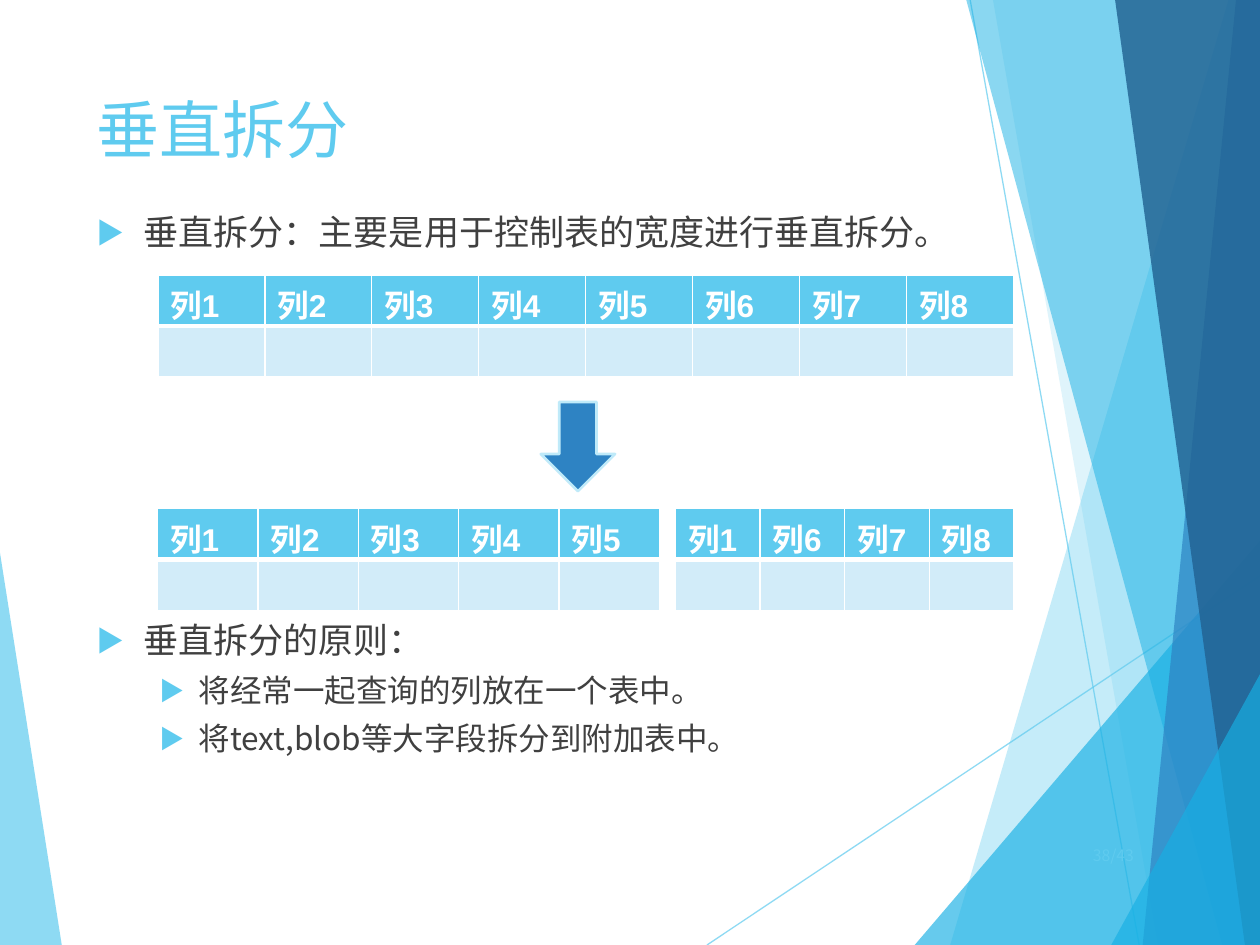
import pptx
import pptx.dml.color
import pptx.enum.dml
import pptx.enum.shapes
import pptx.enum.text
import pptx.oxml
import pptx.oxml.ns
import pptx.util

Pt = pptx.util.Pt
qn = pptx.oxml.ns.qn
NS = 'xmlns:a="http://schemas.openxmlformats.org/drawingml/2006/main"'
WIDE, HIGH = 720, 540
SKY, CYAN, BLUE, NAVY = "5FCBEF", "17B0E4", "2E83C3", "226292"
PALE, RIM, WHITE, GREY = "D2ECF9", "BFEAF9", "FFFFFF", "404040"
CJK = "Noto Sans CJK SC"


def rgb(code):
    return pptx.dml.color.RGBColor.from_string(code)


def add_xml(parent, text):
    node = pptx.oxml.parse_xml(text)
    parent.append(node)
    return node


def paint(fill, code, alpha=None):
    """Fill with one colour, at an opacity in percent if given."""
    fill.solid()
    fill.fore_color.rgb = rgb(code)
    if alpha:
        tone = fill._xPr.find(qn("a:solidFill"))[0]
        add_xml(tone, f'<a:alpha {NS} val="{alpha * 1000}"/>')


def add_facet(slide, points, code, alpha):
    start, *rest = [(Pt(x), Pt(y)) for x, y in points]
    pen = slide.shapes.build_freeform(*start)
    pen.add_line_segments(rest, close=True)
    shape = pen.convert_to_shape()
    shape.shadow.inherit = False
    paint(shape.fill, code, alpha)
    shape.line.fill.background()


def add_slab(slide, top, foot, code, alpha):
    """Facet from a slanted left edge to the right side of the slide."""
    edge = [(top, 0), (foot, HIGH), (WIDE, HIGH), (WIDE, 0)]
    add_facet(slide, edge, code, alpha)


def add_corner(slide, left, top, code, alpha):
    """Triangle in the lower right corner."""
    edge = [(left, HIGH), (WIDE, top), (WIDE, HIGH)]
    add_facet(slide, edge, code, alpha)


def add_ray(slide, *ends):
    kind = pptx.enum.shapes.MSO_CONNECTOR.STRAIGHT
    ray = slide.shapes.add_connector(kind, *map(Pt, ends))
    ray.line.width = Pt(0.75)
    paint(ray.line.fill, SKY, 70)
    add_xml(ray._element.spPr, f"<a:effectLst {NS}/>")


def add_run(para, text, code, name=CJK, **form):
    run = para.add_run()
    run.text = text
    run.font.color.rgb = rgb(code)
    for key, value in {"name": name, **form}.items():
        setattr(run.font, key, value)
    add_xml(run._r.get_or_add_rPr(), f'<a:ea {NS} typeface="{CJK}"/>')


def add_box(slide, *area):
    frame = slide.shapes.add_textbox(*map(Pt, area)).text_frame
    frame.word_wrap = True
    return frame


def add_bullet(para, left, hang):
    props = para._p.get_or_add_pPr()
    props.set("marL", str(Pt(left)))
    props.set("indent", str(-Pt(hang)))
    for mark in (f'<a:buClr {NS}><a:srgbClr val="{SKY}"/></a:buClr>',
                 f'<a:buSzPct {NS} val="80000"/>',
                 f'<a:buFont {NS} typeface="{CJK}"/>',
                 f'<a:buChar {NS} char="▶"/>'):
        add_xml(props, mark)


def add_body(slide):
    frame = add_box(slide, 48, 116.6, 607, 347)
    rows = [("垂直拆分：主要是用于控制表的宽度进行垂直拆分。", 0, 20, 27, 27),
            ("垂直拆分的原则：", 209, 20, 27, 27),
            ("将经常一起查询的列放在一个表中。", 6, 18, 58.5, 22.5),
            ("将text,blob等大字段拆分到附加表中。", 6, 18, 58.5, 22.5)]
    for at, (text, gap, size, left, hang) in enumerate(rows):
        para = frame.add_paragraph() if at else frame.paragraphs[0]
        para.space_before = Pt(gap)
        add_bullet(para, left, hang)
        add_run(para, text, GREY, size=Pt(size))


def style_cell(cell, code, top, foot):
    props = cell._tc.get_or_add_tcPr()
    for side, width in zip("LRTB", (1, 1, top, foot)):
        add_xml(props, f'<a:ln{side} {NS} w="{Pt(width)}"><a:solidFill>'
                       f'<a:srgbClr val="{WHITE}"/></a:solidFill></a:ln{side}>')
    paint(cell.fill, code)


def add_grid(slide, left, top, width, cols):
    """Table with a numbered header and one empty row."""
    area = map(Pt, (left, top, width, 58.4))
    grid = slide.shapes.add_table(2, len(cols), *area).table
    for at, col in enumerate(cols):
        grid.columns[at].width = Pt(width / len(cols))
        head, blank = grid.cell(0, at), grid.cell(1, at)
        style_cell(head, SKY, 1, 3)
        style_cell(blank, PALE, 3, 1)
        add_run(head.text_frame.paragraphs[0], f"列{col}", WHITE, "Arial",
                size=Pt(18), bold=True)


def add_arrow(slide):
    kind = pptx.enum.shapes.MSO_SHAPE.DOWN_ARROW
    arrow = slide.shapes.add_shape(kind, *map(Pt, (309, 229.7, 42.5, 51)))
    arrow.shadow.inherit = False
    paint(arrow.fill, BLUE)
    paint(arrow.line.fill, RIM)
    arrow.line.width = Pt(1.5)


def add_decor(slide):
    add_facet(slide, [(0, 316), (35.3, HIGH), (0, HIGH)], SKY, 70)
    add_ray(slide, 404, HIGH, WIDE, 329)
    add_ray(slide, 554.4, 0, 651, HIGH)
    add_slab(slide, 702, 543, SKY, 36)
    add_slab(slide, 567.4, 661.7, SKY, 20)
    add_corner(slide, 522.7, 309, CYAN, 66)
    add_slab(slide, 552.2, 698.4, CYAN, 50)
    add_slab(slide, 706.3, 653, BLUE, 70)
    add_slab(slide, 637.2, 711.4, NAVY, 82)
    add_corner(slide, 635, 385.2, CYAN, 66)


def main():
    deck = pptx.Presentation()
    deck.slide_width, deck.slide_height = Pt(WIDE), Pt(HIGH)
    slide = deck.slides.add_slide(deck.slide_layouts[6])
    add_decor(slide)
    title = add_box(slide, 48, 48, 607, 51)
    add_run(title.paragraphs[0], "垂直拆分", SKY, size=Pt(36))
    add_body(slide)
    add_grid(slide, 90.2, 157, 489, range(1, 9))
    add_arrow(slide)
    add_grid(slide, 90, 290.5, 287, range(1, 6))
    add_grid(slide, 386, 290.5, 193.5, (1, 6, 7, 8))
    page = add_box(slide, 595, 479.5, 60, 20).paragraphs[0]
    page.alignment = pptx.enum.text.PP_ALIGN.RIGHT
    add_run(page, "38/43", SKY, size=Pt(9))
    deck.save("out.pptx")


if __name__ == "__main__":
    main()
